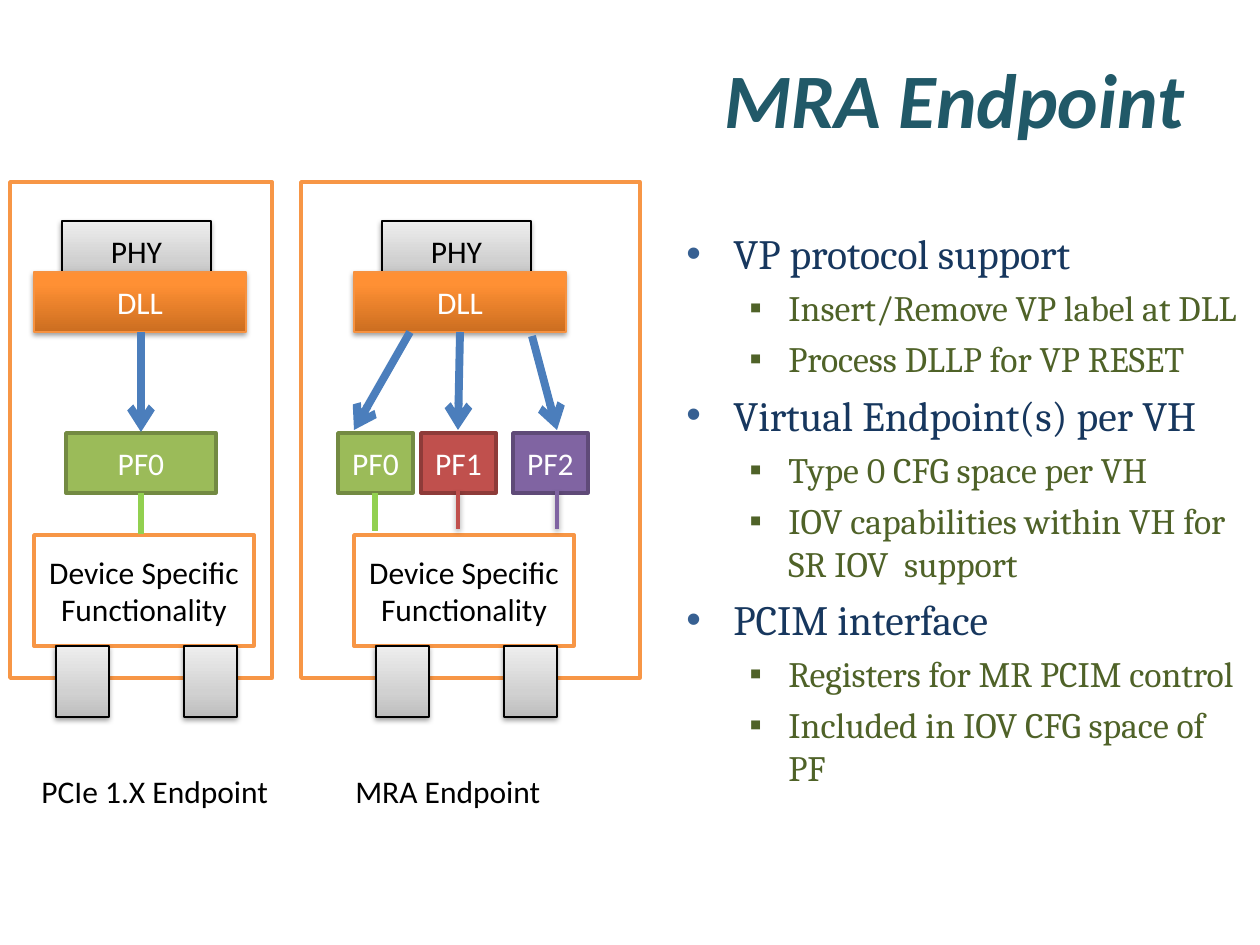
from dataclasses import dataclass

from lxml.etree import SubElement
from pptx import Presentation
from pptx.dml.color import RGBColor
from pptx.enum.shapes import MSO_CONNECTOR as Connector, MSO_SHAPE as Shape
from pptx.enum.text import MSO_ANCHOR as Anchor, PP_ALIGN as Align
from pptx.oxml.ns import qn
from pptx.util import Emu, Pt

EMU_PER_PX = 914400 / 126


@dataclass(frozen=True)
class Theme:
    sans: str = "Calibri"
    serif: str = "Cambria"
    title_size: float = 44
    label_size: float = 18
    title: str = "215968"
    black: str = "000000"
    white: str = "FFFFFF"
    orange: str = "F79646"
    layer_line: str = "F69240"
    arrow: str = "4B7EBC"
    green_link: str = "92D050"
    green: tuple = ("9BBB59", "738A42")
    red: tuple = ("C0504D", "8E3B39")
    purple: tuple = ("8064A2", "5F4A78")
    # Gradient stops: percent and colour, from bottom to top
    gray_gradient: tuple = ((0, "BDBDBD"), (35, "D1D1D1"), (100, "EEEEEE"))
    orange_gradient: tuple = ((0, "CC6E20"), (80, "FF9034"), (100, "FF9136"))
    # Bullet levels: size, colour, bullet, bullet colour, indent, hanging, space before
    levels: tuple = (
        (23.8, "17375E", "•", "376092", 47, 47, 5.5),
        (20.4, "4F6228", "▪", "4F6228", 102, 39, 4.6),
    )


THEME = Theme()

BULLETS = (
    (0, "VP protocol support"),
    (1, "Insert/Remove VP label at DLL"),
    (1, "Process DLLP for VP RESET"),
    (0, "Virtual Endpoint(s) per VH"),
    (1, "Type 0 CFG space per VH"),
    (1, "IOV capabilities within VH for SR IOV  support"),
    (0, "PCIM interface"),
    (1, "Registers for MR PCIM control"),
    (1, "Included in IOV CFG space of PF"),
)


def px(length):
    return Emu(round(length * EMU_PER_PX))


def rgb(color):
    return RGBColor.from_string(color)


def style_text(paragraph, size, color, font=THEME.sans):
    for run in paragraph.runs:
        run.font.size = Pt(size)
        run.font.name = font
        run.font.color.rgb = rgb(color)


def add_color(parent, color):
    return SubElement(parent, qn("a:srgbClr"), val=color)


def set_gradient(shape, stops):
    """Fill a shape with a vertical gradient, first stop at the bottom."""
    shape.fill.gradient()
    gradient = shape._element.spPr.find(qn("a:gradFill"))
    for child in list(gradient):
        gradient.remove(child)
    stop_list = SubElement(gradient, qn("a:gsLst"))
    for percent, color in stops:
        add_color(SubElement(stop_list, qn("a:gs"), pos=str(percent * 1000)), color)
    SubElement(gradient, qn("a:lin"), ang="16200000", scaled="0")


def set_effects(shape, shadow):
    """Replace theme effects by none or by a soft shadow below."""
    effects = SubElement(shape._element.spPr, qn("a:effectLst"))
    if shadow:
        outer = SubElement(effects, qn("a:outerShdw"), blurRad=str(Pt(3.1)),
                           dist=str(Pt(1.6)), dir="5400000", rotWithShape="0")
        SubElement(add_color(outer, THEME.black), qn("a:alpha"), val="38000")


def add_box(slide, bounds, fill, line, text="", text_color=THEME.black):
    """Add a rectangle; a gradient fill comes with a thin line and a shadow."""
    shape = slide.shapes.add_shape(Shape.RECTANGLE, *map(px, bounds))
    raised = isinstance(fill, tuple)
    if raised:
        set_gradient(shape, fill)
    else:
        shape.fill.solid()
        shape.fill.fore_color.rgb = rgb(fill)
    shape.line.color.rgb = rgb(line)
    shape.line.width = Pt(0.75 if raised else 2)
    set_effects(shape, raised)
    if text:
        frame = shape.text_frame
        frame.text = text
        frame.word_wrap = True
        frame.vertical_anchor = Anchor.MIDDLE
        frame.paragraphs[0].alignment = Align.CENTER
        style_text(frame.paragraphs[0], THEME.label_size, text_color)


def add_line(slide, start, end, color, width, arrow=False, shadow=False):
    connector = slide.shapes.add_connector(Connector.STRAIGHT, *map(px, start + end))
    connector.line.color.rgb = rgb(color)
    connector.line.width = Pt(width)
    if arrow:
        SubElement(connector.line._get_or_add_ln(), qn("a:tailEnd"), type="arrow")
    set_effects(connector, shadow)


def add_text(slide, bounds, text):
    frame = slide.shapes.add_textbox(*map(px, bounds)).text_frame
    frame.word_wrap = True
    frame.text = text
    return frame


def add_title(slide, text):
    frame = add_text(slide, (63, 38, 1134, 120), text)
    frame.vertical_anchor = Anchor.MIDDLE
    paragraph = frame.paragraphs[0]
    paragraph.alignment = Align.RIGHT
    style_text(paragraph, THEME.title_size, THEME.title)
    paragraph.runs[0].font.bold = True
    paragraph.runs[0].font.italic = True


def add_bullets(slide, bounds, items):
    frame = add_text(slide, bounds, "\n".join(text for _, text in items))
    for index, (paragraph, (level, _)) in enumerate(zip(frame.paragraphs, items)):
        size, color, bullet, bullet_color, indent, hanging, space = THEME.levels[level]
        paragraph.level = level
        paragraph.space_before = Pt(space if index else 0)
        properties = paragraph._p.get_or_add_pPr()
        properties.set("marL", str(px(indent)))
        properties.set("indent", str(-px(hanging)))
        add_color(SubElement(properties, qn("a:buClr")), bullet_color)
        SubElement(properties, qn("a:buFont"), typeface="Arial")
        SubElement(properties, qn("a:buChar"), char=bullet)
        style_text(paragraph, size, color, THEME.serif)


def add_endpoint(slide, frame_left, frame_width, left, caption_left, caption):
    """Add the parts that both endpoints share."""
    add_box(slide, (frame_left, 182, frame_width, 496), THEME.white, THEME.orange)
    add_box(slide, (left + 28, 221, 149, 60), THEME.gray_gradient, THEME.black, "PHY")
    add_box(slide, (left, 272, 212, 60), THEME.orange_gradient, THEME.layer_line,
            "DLL", THEME.white)
    add_box(slide, (left, 535, 220, 111), THEME.white, THEME.orange,
            "Device Specific Functionality")
    for leg_left in (left + 22, left + 150):
        add_box(slide, (leg_left, 646, 53, 71), THEME.gray_gradient, THEME.black)
    label = add_text(slide, (caption_left, 766, 267, 50), caption)
    style_text(label.paragraphs[0], THEME.label_size, THEME.black)


def add_function(slide, name, left, width, colors, arrow_start, arrow_end):
    """Add a physical function and the arrow that reaches it."""
    fill, line = colors
    add_box(slide, (left, 433, width, 60), fill, line, name, THEME.white)
    add_line(slide, arrow_start, arrow_end, THEME.arrow, 4.5, arrow=True)


def main():
    presentation = Presentation()
    presentation.slide_width, presentation.slide_height = px(1260), px(945)
    slide = presentation.slides.add_slide(presentation.slide_layouts[6])

    # Heading and bullets
    add_title(slide, "MRA Endpoint")
    add_bullets(slide, (674, 222, 586, 622), BULLETS)

    # Single-function endpoint
    add_endpoint(slide, 10, 262, 34, 29, "PCIe 1.X Endpoint")
    add_function(slide, "PF0", 66, 150, THEME.green, (141, 332), (141, 432))
    add_line(slide, (141, 493), (141, 534), THEME.green_link, 3)

    # Multi-root endpoint
    add_endpoint(slide, 301, 339, 354, 343, "MRA Endpoint")
    add_function(slide, "PF0", 338, 75, THEME.green, (410, 332), (354, 430))
    add_function(slide, "PF1", 421, 75, THEME.red, (460, 332), (458, 430))
    add_function(slide, "PF2", 513, 75, THEME.purple, (532, 336), (557, 430))
    add_line(slide, (375, 493), (375, 531), THEME.green_link, 3)
    for x, (color, _) in ((458, THEME.red), (557, THEME.purple)):
        add_line(slide, (x, 491), (x, 529), color, 2, shadow=True)

    presentation.save("out.pptx")


if __name__ == "__main__":
    main()
